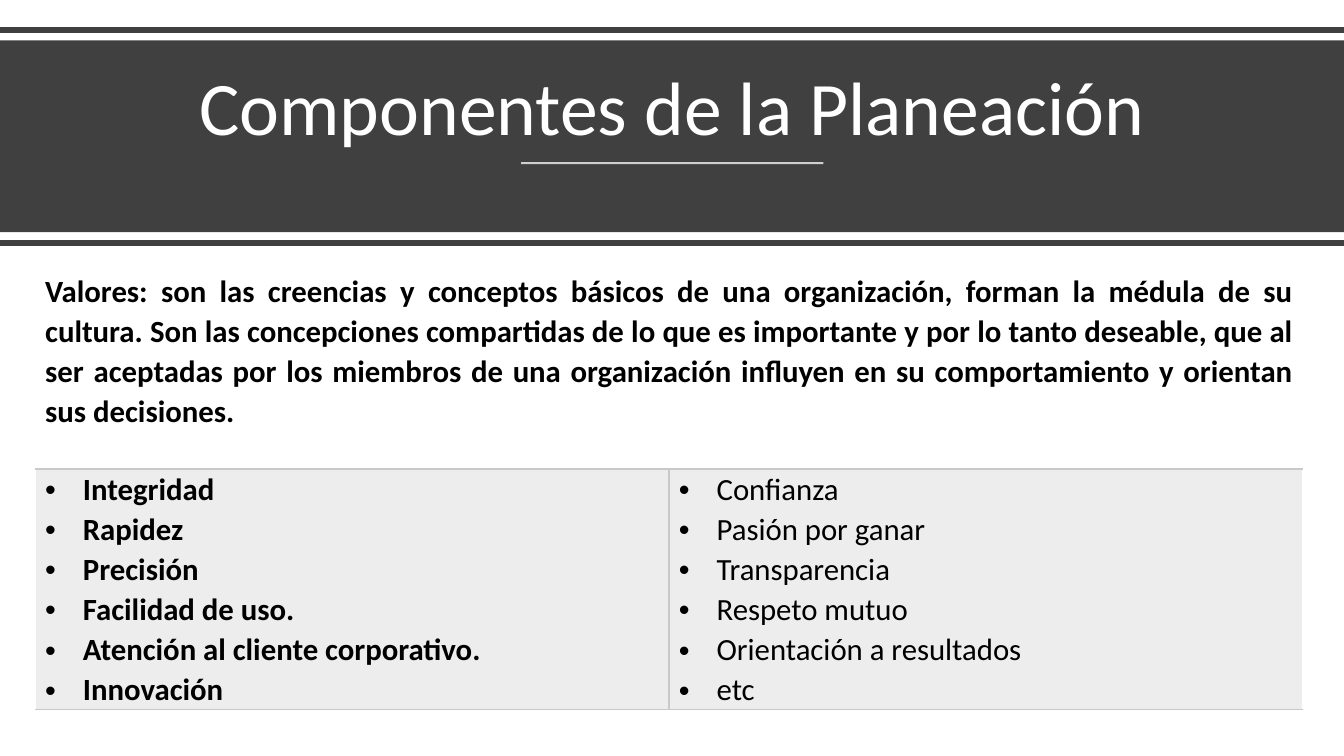
"""Build the slide on values as a component of planning."""
from collections import namedtuple

from lxml.etree import SubElement as Sub
from pptx import Presentation
from pptx.dml.color import RGBColor as RGB
from pptx.enum.shapes import MSO_CONNECTOR as Link, MSO_SHAPE as Kind
from pptx.enum.text import MSO_ANCHOR as Anchor, MSO_AUTO_SIZE as Auto, PP_ALIGN as Align
from pptx.oxml.ns import qn
from pptx.util import Cm, Pt

Theme = namedtuple("Theme", "font dark white black gray edge head body")
theme = Theme("Calibri", "404040", "FFFFFF", "000000", "EDEDED", "C9C9C9", 54, 22)


def style(para, size, color, bold, space):
    """Format a paragraph and its runs."""
    para.line_spacing = space
    for run in para.runs:
        font = run.font
        font.name, font.size, font.bold = theme.font, Pt(size), bold
        font.color.rgb = RGB.from_string(color)


def border(cell, sides):
    """Draw the given cell sides, each with a width in points."""
    props = cell._tc.get_or_add_tcPr()
    for spot, (side, width) in enumerate(sides.items()):
        line = Sub(props, qn("a:ln" + side), w=str(Pt(width)))
        fill = Sub(line, qn("a:solidFill"))
        Sub(fill, qn("a:srgbClr"), val=theme.edge)
        props.insert(spot, line)


deck = Presentation()
deck.slide_width, deck.slide_height = Cm(33.87), Cm(19.05)
slide = deck.slides.add_slide(deck.slide_layouts[5])
shapes = slide.shapes

band = shapes.add_shape(Kind.RECTANGLE, 0, Cm(1.02), deck.slide_width, Cm(4.83))
band.shadow.inherit = False
band.fill.solid()
band.fill.fore_color.rgb = RGB.from_string(theme.dark)
band.line.fill.background()

title = shapes.title
title.left, title.top, title.width, title.height = Cm(1.47), Cm(1.37), Cm(30.94), Cm(2.59)
frame = title.text_frame
frame.text = "Componentes de la Planeación"
frame.auto_size, frame.vertical_anchor = Auto.NONE, Anchor.BOTTOM
para = frame.paragraphs[0]
para.alignment = Align.CENTER
style(para, theme.head, theme.white, False, 0.9)
band._element.addnext(title._element)

rules = [
    (0, 33.87, 0.76, theme.dark, 4),
    (13.13, 20.75, 4.11, theme.white, 1.5),
    (0, 33.87, 6.12, theme.dark, 4),
]
for left, right, top, color, width in rules:
    rule = shapes.add_connector(Link.STRAIGHT, Cm(left), Cm(top), Cm(right), Cm(top))
    rule.line.width = Pt(width)
    rule.line.color.rgb = RGB.from_string(color)
    Sub(rule._element.spPr, qn("a:effectLst"))
    if color == theme.white:
        tint = rule._element.spPr.find(".//" + qn("a:srgbClr"))
        Sub(tint, qn("a:alpha"), val="75000")

intro = (
    "Valores: son las creencias y conceptos básicos de una organización, forman la médula "
    "de su cultura. Son las concepciones compartidas de lo que es importante y por lo tanto "
    "deseable, que al ser aceptadas por los miembros de una organización influyen en su "
    "comportamiento y orientan sus decisiones."
)
lists = [
    ["Integridad", "Rapidez", "Precisión", "Facilidad de uso.",
     "Atención al cliente corporativo.", "Innovación"],
    ["Confianza", "Pasión por ganar", "Transparencia", "Respeto mutuo",
     "Orientación a resultados", "etc"],
]
table = shapes.add_table(2, 2, Cm(0.89), Cm(6.81), Cm(31.94), Cm(10.97)).table
table.first_row = table.horz_banding = False
for row, high in zip(table.rows, (5, 5.97)):
    row.height = Cm(high)
for col in table.columns:
    col.width = Cm(15.97)
for cell in table.iter_cells():
    cell.margin_left = cell.margin_right = Cm(0.25)
    cell.margin_top = cell.margin_bottom = 0
    cell.fill.solid()
    cell.fill.fore_color.rgb = RGB.from_string(theme.white)

top = table.cell(0, 0)
top.merge(table.cell(0, 1))
top.text_frame.text = intro
para = top.text_frame.paragraphs[0]
para.alignment = Align.JUSTIFY
style(para, theme.body, theme.black, True, 1.07)
for col in range(2):
    border(table.cell(0, col), {"B": 1.5})

for col, (words, side) in enumerate(zip(lists, "RL")):
    cell = table.cell(1, col)
    cell.fill.fore_color.rgb = RGB.from_string(theme.gray)
    cell.text_frame.text = "\n".join(words)
    for para in cell.text_frame.paragraphs:
        style(para, theme.body, theme.black, col == 0, 1.07)
        props = para._p.get_or_add_pPr()
        props.set("marL", str(Cm(0.95)))
        props.set("indent", str(Cm(-0.95)))
        Sub(props, qn("a:buFont"), typeface="Arial")
        Sub(props, qn("a:buChar"), char="•")
    border(cell, {side: 1, "T": 1.5, "B": 1})

deck.save("out.pptx")
